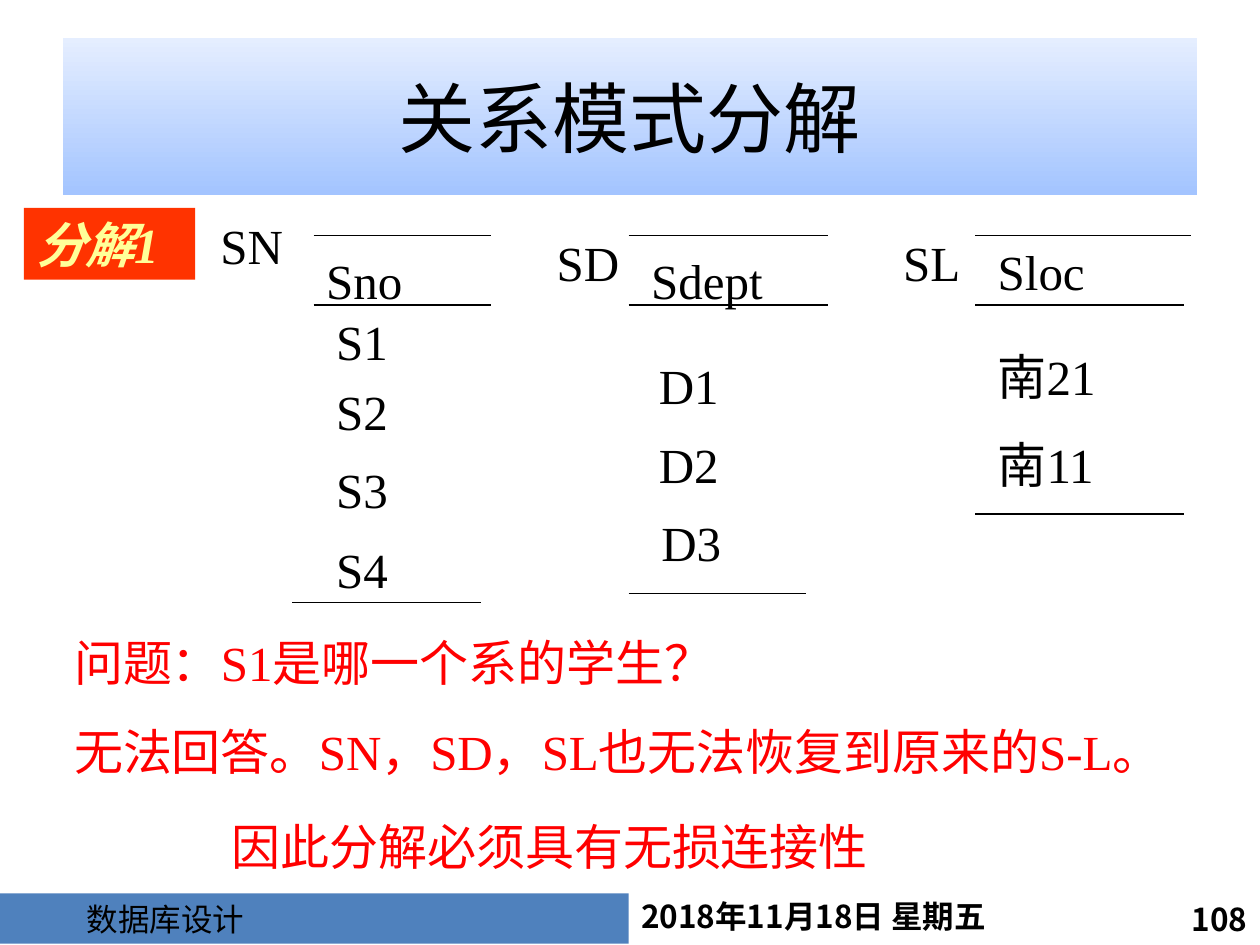
from lxml.etree import SubElement
from pptx import Presentation
from pptx.dml.color import RGBColor
from pptx.enum.shapes import MSO_CONNECTOR, MSO_SHAPE
from pptx.enum.text import MSO_ANCHOR, PP_ALIGN
from pptx.oxml.ns import qn
from pptx.util import Pt

PX = 9144
COLORS = {
    "black": "000000", "white": "FFFFFF", "red": "FF0000", "badge": "FF3300",
    "badge_text": "FFFF99", "footer": "4F81BD", "sky_low": "A3C4FF", "sky_high": "E5EEFF",
}
SERIF, CJK_SC, CJK_JP = "Times New Roman", "Noto Sans CJK SC", "Noto Sans CJK JP"


def color(name):
    return RGBColor.from_string(COLORS[name])


def add_text(shapes, box, paragraphs, size=28, font=SERIF, ink="black", fill=None,
             bold=False, italic=False, align=PP_ALIGN.LEFT, anchor=MSO_ANCHOR.TOP, indent=0):
    bounds = [v * PX for v in box]
    if fill:
        holder = shapes.add_shape(MSO_SHAPE.RECTANGLE, *bounds)
        holder.shadow.inherit = False
        holder.fill.solid()
        holder.fill.fore_color.rgb = color(fill)
        holder.line.fill.background()
    else:
        holder = shapes.add_textbox(*bounds)
    frame = holder.text_frame
    frame.word_wrap = True
    frame.vertical_anchor = anchor
    for i, text in enumerate(paragraphs):
        paragraph = frame.add_paragraph() if i else frame.paragraphs[0]
        paragraph.alignment = align
        if i:
            paragraph.space_before = Pt(17.5)
        if indent:
            paragraph._p.get_or_add_pPr().set("marL", str(indent * PX))
        run = paragraph.add_run()
        run.text = text
        run.font.size = Pt(size)
        run.font.name = font
        run.font.bold = bold
        run.font.italic = italic
        run.font.color.rgb = color(ink)
        east_asian = CJK_SC if font == SERIF else font
        SubElement(run._r.get_or_add_rPr(), qn("a:ea")).set("typeface", east_asian)
    return holder


presentation = Presentation()
presentation.slide_width = 1000 * PX
presentation.slide_height = 750 * PX
slide = presentation.slides.add_slide(presentation.slide_layouts[6])

add_text(slide.shapes, (499, 707, 356, 40), ["2018年11月18日 星期五"], 18, CJK_SC, bold=True)
add_text(slide.shapes, (870, 709, 130, 46), ["108"], 18, CJK_SC, bold=True, align=PP_ALIGN.RIGHT)
add_text(slide.shapes, (0, 709, 499, 40), ["数据库设计"], 18, CJK_JP, fill="footer", indent=59)

title = add_text(slide.shapes, (50, 30, 900, 125), ["关系模式分解"], 44, CJK_SC, fill="white",
                 align=PP_ALIGN.CENTER, anchor=MSO_ANCHOR.MIDDLE)
title.fill.gradient()
title.fill.gradient_angle = 90
for stop, shade in zip(title.fill.gradient_stops, ("sky_low", "sky_high")):
    stop.color.rgb = color(shade)

add_text(slide.shapes, (19, 165, 136, 57), ["分解1"], ink="badge_text", fill="badge",
         bold=True, italic=True)

relations = [
    ([(249, 390, 187), (249, 390, 242), (232, 382, 478)],
     [("SN", 165, 166, 75), ("Sno", 249, 194, 108), ("S1", 257, 242, 108),
      ("S2", 257, 298, 125), ("S3", 257, 360, 75), ("S4", 257, 423, 75)]),
    ([(499, 657, 187), (499, 657, 242), (499, 640, 471)],
     [("SD", 432, 180, 75), ("Sdept", 507, 194, 133), ("D1", 513, 277, 75),
      ("D2", 513, 340, 75), ("D3", 515, 402, 75)]),
    ([(774, 945, 187), (774, 940, 242), (774, 940, 408)],
     [("SL", 707, 180, 75), ("Sloc", 782, 187, 142), ("南21", 782, 270, 125),
      ("南11", 782, 340, 117)]),
]
for rules, entries in relations:
    relation = slide.shapes.add_group_shape()
    for left, right, y in rules:
        rule = relation.shapes.add_connector(
            MSO_CONNECTOR.STRAIGHT, left * PX, y * PX, right * PX, y * PX)
        rule.line.color.rgb = color("black")
        rule.line.width = Pt(0.75)
        SubElement(rule._element.spPr, qn("a:effectLst"))
    for text, left, top, width in entries:
        add_text(relation.shapes, (left, top, width, 57), [text])

add_text(slide.shapes, (49, 497, 939, 175),
         ["问题：S1是哪一个系的学生？", "无法回答。SN，SD，SL也无法恢复到原来的S-L。"],
         ink="red", fill="white")
add_text(slide.shapes, (174, 643, 632, 57), ["因此分解必须具有无损连接性"], ink="red", fill="white")

presentation.save("out.pptx")
